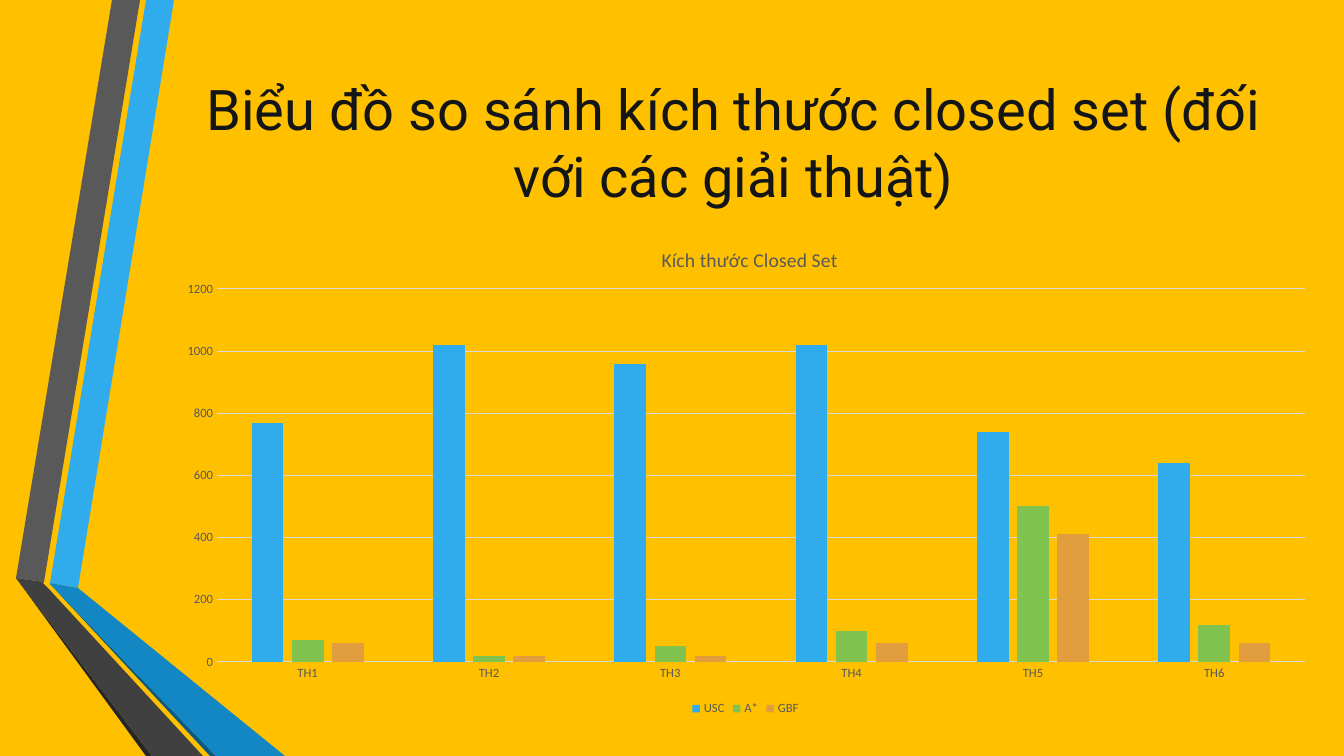
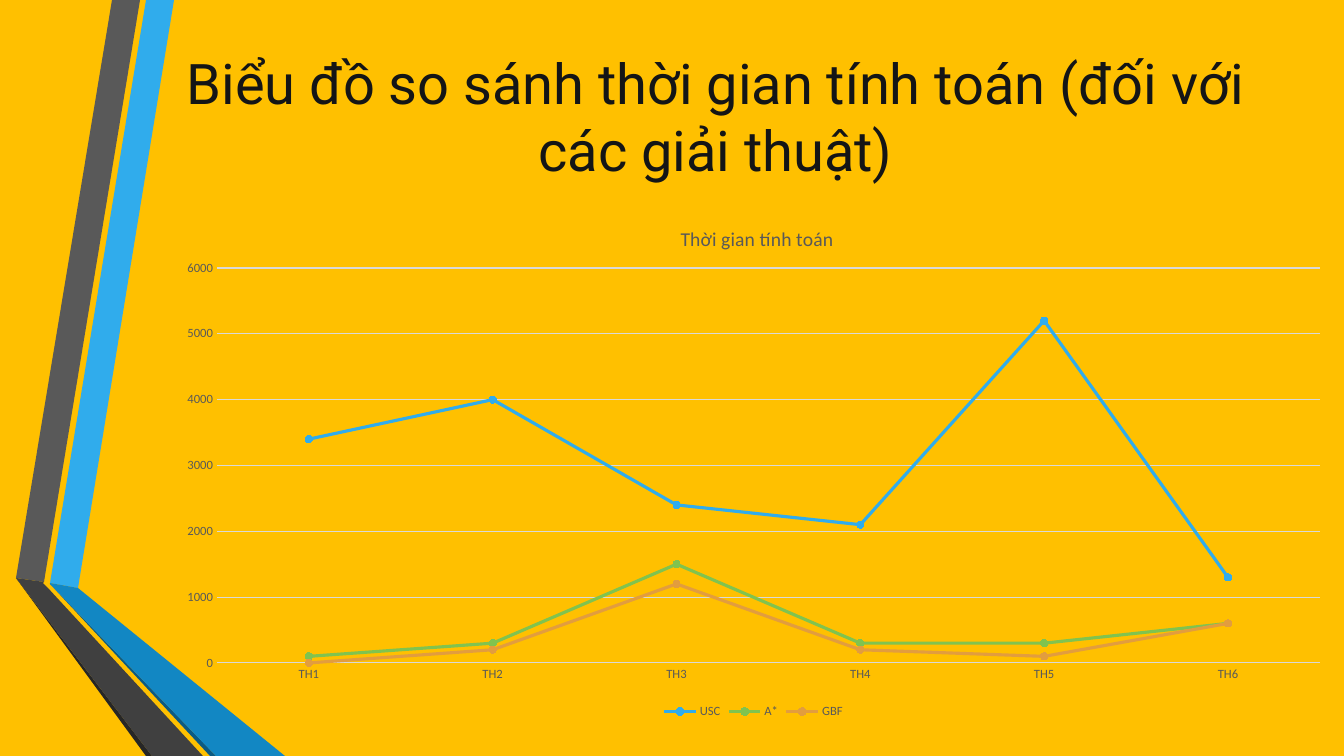
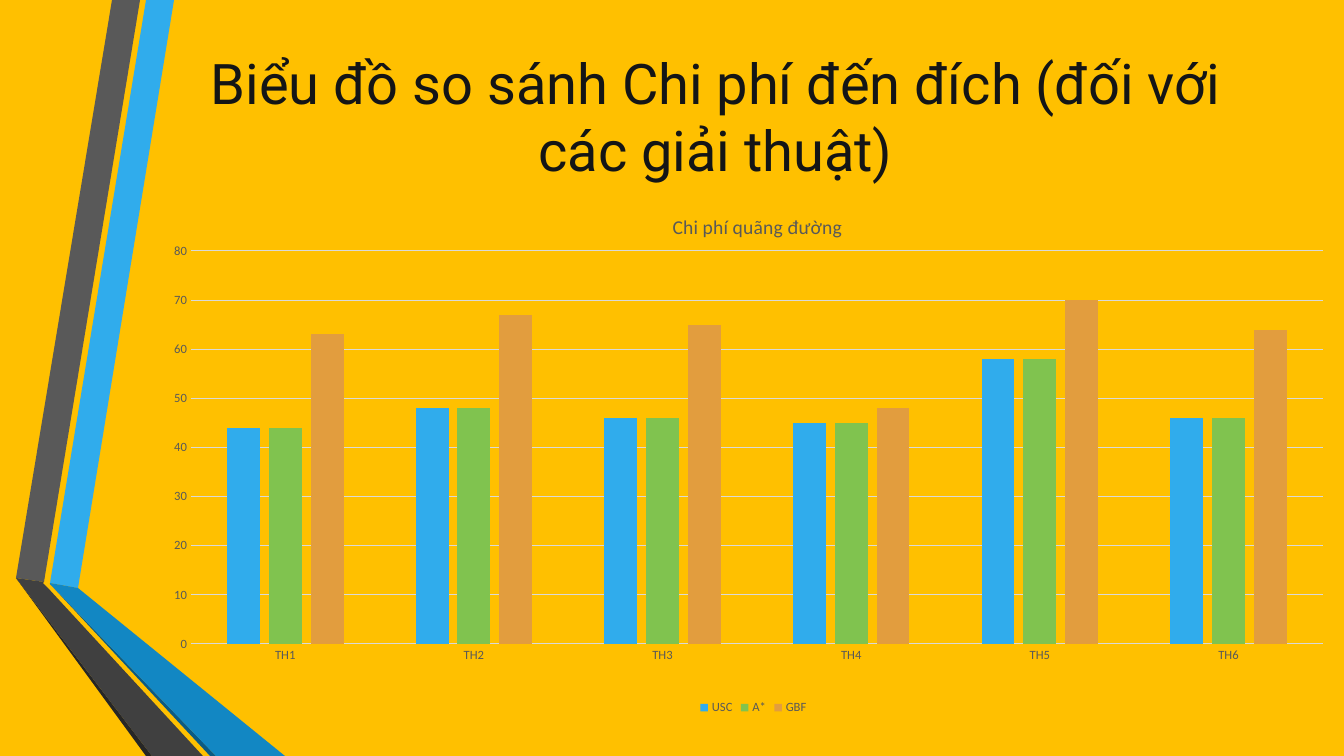
import lxml.etree
import pptx
import pptx.chart.data
import pptx.dml.color
import pptx.enum.chart
import pptx.enum.text
import pptx.oxml.ns
import pptx.util

PX = 12192000 / 1344
SLIDE_BOX = (0, 0, 1344, 756)
COLORS = {
    "background": "FFC000",
    "title": "141516",
    "label": "595959",
    "grid": "D9D9D9",
    "blue": "30ACEC",
    "steel": "1287C3",
    "navy": "0C5A82",
    "gray": "595959",
    "charcoal": "404040",
    "black": "262626",
    "green": "80C34F",
    "orange": "E29D3E",
}
BANDS = [
    ("blue", [(50, 583), (78, 588), (174, 0), (146, 0)]),
    ("gray", [(140, 0), (112, 0), (16, 578), (44, 582)]),
    ("black", [(16, 578), (146, 756), (152, 756)]),
    ("navy", [(50, 584), (210, 756), (216, 756)]),
    ("steel", [(50, 584), (216, 756), (285, 756), (78, 588), (50, 583)]),
    ("charcoal", [(203, 756), (48, 588), (43, 583), (44, 582), (16, 578), (152, 756)]),
]
CASES = ["TH1", "TH2", "TH3", "TH4", "TH5", "TH6"]
ALGORITHMS = {"USC": "blue", "A*": "green", "GBF": "orange"}
COLUMNS = pptx.enum.chart.XL_CHART_TYPE.COLUMN_CLUSTERED
LINES = pptx.enum.chart.XL_CHART_TYPE.LINE_MARKERS
COMPARISONS = [
    {
        "heading": "Biểu đồ so sánh kích thước closed set (đối với các giải thuật)",
        "heading_box": (181, 45, 1105, 194),
        "chart_box": (163, 222, 1165, 498),
        "kind": COLUMNS,
        "caption": "Kích thước Closed Set",
        "caption_at": (495, 21),
        "plot_box": (54, 67, 1088, 373),
        "top": 1200,
        "step": 200,
        "results": [
            (770, 1020, 960, 1020, 740, 640),
            (70, 20, 50, 100, 500, 120),
            (60, 20, 20, 60, 410, 60),
        ],
    },
    {
        "heading": "Biểu đồ so sánh thời gian tính toán (đối với các giải thuật)",
        "heading_box": (163, 19, 1105, 194),
        "chart_box": (163, 201, 1181, 522),
        "kind": LINES,
        "caption": "Thời gian tính toán",
        "caption_at": (514, 21),
        "plot_box": (54, 67, 1103, 395),
        "top": 6000,
        "step": 1000,
        "results": [
            (3400, 4000, 2400, 2100, 5200, 1300),
            (100, 300, 1500, 300, 300, 600),
            (0, 200, 1200, 200, 100, 600),
        ],
    },
    {
        "heading": "Biểu đồ so sánh Chi phí đến đích (đối với các giải thuật)",
        "heading_box": (163, 19, 1105, 194),
        "chart_box": (163, 190, 1181, 529),
        "kind": COLUMNS,
        "caption": "Chi phí quãng đường",
        "caption_at": (506, 20),
        "plot_box": (28, 61, 1132, 393),
        "top": 80,
        "step": 10,
        "results": [
            (44, 48, 46, 45, 58, 46),
            (44, 48, 46, 45, 58, 46),
            (63, 67, 65, 48, 70, 64),
        ],
    },
]


def px(length):
    """Turn px into EMU."""
    return pptx.util.Emu(round(length * PX))


def rgb(name):
    """Look up a colour by its name."""
    return pptx.dml.color.RGBColor.from_string(COLORS[name])


def style_font(font, size, color, face="Calibri"):
    """Give a font its size, colour and face."""
    font.size = pptx.util.Pt(size)
    font.color.rgb = rgb(color)
    font.name = face
    font.bold = False


def write(frame, text, size=14, color="label", face="Calibri"):
    """Write one centred paragraph into a text frame."""
    paragraph = frame.paragraphs[0]
    paragraph.alignment = pptx.enum.text.PP_ALIGN.CENTER
    run = paragraph.add_run()
    run.text = text
    style_font(run.font, size, color, face)


def draw_bands(slide, layout, box):
    """Draw the folded bands at the left and hand them to the layout."""
    left, top = box[:2]
    bands = []
    for color, corners in BANDS:
        outline = slide.shapes.build_freeform(*corners[0], scale=PX)
        outline.add_line_segments(corners[1:], close=True)
        band = outline.convert_to_shape(px(left), px(top))
        band.fill.solid()
        band.fill.fore_color.rgb = rgb(color)
        band.line.fill.background()
        band.shadow.inherit = False
        bands.append(band)
    for band in bands:
        layout.shapes.element.append(band.element)


def place_heading(slide, text, box):
    """Move the title placeholder into the box and write the heading."""
    heading = slide.shapes.title
    heading.left, heading.top, heading.width, heading.height = map(px, box)
    frame = heading.text_frame
    frame.word_wrap = True
    frame.auto_size = pptx.enum.text.MSO_AUTO_SIZE.NONE
    frame.vertical_anchor = pptx.enum.text.MSO_ANCHOR.MIDDLE
    write(frame, text, size=40, color="title", face="Roboto")


def set_layout(part, index, settings):
    """Give a chart part a manual layout."""
    qn = pptx.oxml.ns.qn
    for automatic in part.findall(qn("c:layout")):
        part.remove(automatic)
    layout = lxml.etree.Element(qn("c:layout"))
    manual = lxml.etree.SubElement(layout, qn("c:manualLayout"))
    for tag, value in settings.items():
        lxml.etree.SubElement(manual, qn("c:" + tag)).set("val", str(value))
    part.insert(index, layout)


def style_axes(chart, top, step):
    """Format both axes and the gridlines."""
    for axis in (chart.category_axis, chart.value_axis):
        axis.major_tick_mark = pptx.enum.chart.XL_TICK_MARK.NONE
        axis.minor_tick_mark = pptx.enum.chart.XL_TICK_MARK.NONE
        style_font(axis.tick_labels.font, 9, "label")
    chart.category_axis.has_major_gridlines = False
    chart.value_axis.has_major_gridlines = True
    chart.value_axis.minimum_scale = 0
    chart.value_axis.maximum_scale = top
    chart.value_axis.major_unit = step
    chart.value_axis.format.line.fill.background()
    for line in (chart.category_axis.format.line, chart.value_axis.major_gridlines.format.line):
        line.color.rgb = rgb("grid")
        line.width = pptx.util.Pt(0.75)


def style_series(chart, kind):
    """Colour each algorithm as columns or as a marked line."""
    plot = chart.plots[0]
    plot.vary_by_categories = False
    if kind == COLUMNS:
        plot.gap_width = 219
        plot.overlap = -27
    for series, color in zip(plot.series, ALGORITHMS.values()):
        fills = [series.format.fill]
        if kind == LINES:
            series.smooth = False
            series.format.line.color.rgb = rgb(color)
            series.format.line.width = pptx.util.Pt(2.25)
            series.marker.style = pptx.enum.chart.XL_MARKER_STYLE.CIRCLE
            series.marker.size = 5
            series.marker.format.line.color.rgb = rgb(color)
            fills = [series.marker.format.fill]
        for fill in fills:
            fill.solid()
            fill.fore_color.rgb = rgb(color)


def place_chart(slide, comparison, box):
    """Place the chart with its caption, plot and legend in the box."""
    width, height = box[2:]
    figures = pptx.chart.data.CategoryChartData()
    figures.categories = CASES
    for algorithm, results in zip(ALGORITHMS, comparison["results"]):
        figures.add_series(algorithm, results)
    kind = comparison["kind"]
    chart = slide.shapes.add_chart(kind, *map(px, box), figures).chart
    style_font(chart.font, 10, "label")

    chart.has_title = True
    write(chart.chart_title.text_frame, comparison["caption"])
    chart.chart_title.include_in_layout = False
    x, y = comparison["caption_at"]
    set_layout(chart.chart_title.element, 1, {
        "xMode": "edge", "yMode": "edge",
        "x": round(x / width, 4), "y": round(y / height, 4),
    })

    x, y, plot_width, plot_height = comparison["plot_box"]
    plot_area = chart.element.find(".//" + pptx.oxml.ns.qn("c:plotArea"))
    set_layout(plot_area, 0, {
        "layoutTarget": "inner", "xMode": "edge", "yMode": "edge",
        "x": round(x / width, 4), "y": round(y / height, 4),
        "w": round(plot_width / width, 4), "h": round(plot_height / height, 4),
    })

    chart.has_legend = True
    chart.legend.position = pptx.enum.chart.XL_LEGEND_POSITION.BOTTOM
    chart.legend.include_in_layout = False
    style_font(chart.legend.font, 9, "label")
    style_axes(chart, comparison["top"], comparison["step"])
    style_series(chart, kind)


def main():
    """Build the three comparison slides."""
    deck = pptx.Presentation()
    deck.slide_width, deck.slide_height = map(px, SLIDE_BOX[2:])
    deck.slide_master.background.fill.solid()
    deck.slide_master.background.fill.fore_color.rgb = rgb("background")
    layout = deck.slide_layouts[5]
    for placeholder in list(layout.placeholders)[1:]:
        layout.shapes.element.remove(placeholder.element)
    slides = [deck.slides.add_slide(layout) for comparison in COMPARISONS]
    draw_bands(slides[0], layout, SLIDE_BOX)
    for slide, comparison in zip(slides, COMPARISONS):
        place_heading(slide, comparison["heading"], comparison["heading_box"])
        place_chart(slide, comparison, comparison["chart_box"])
    deck.save("out.pptx")


if __name__ == "__main__":
    main()
